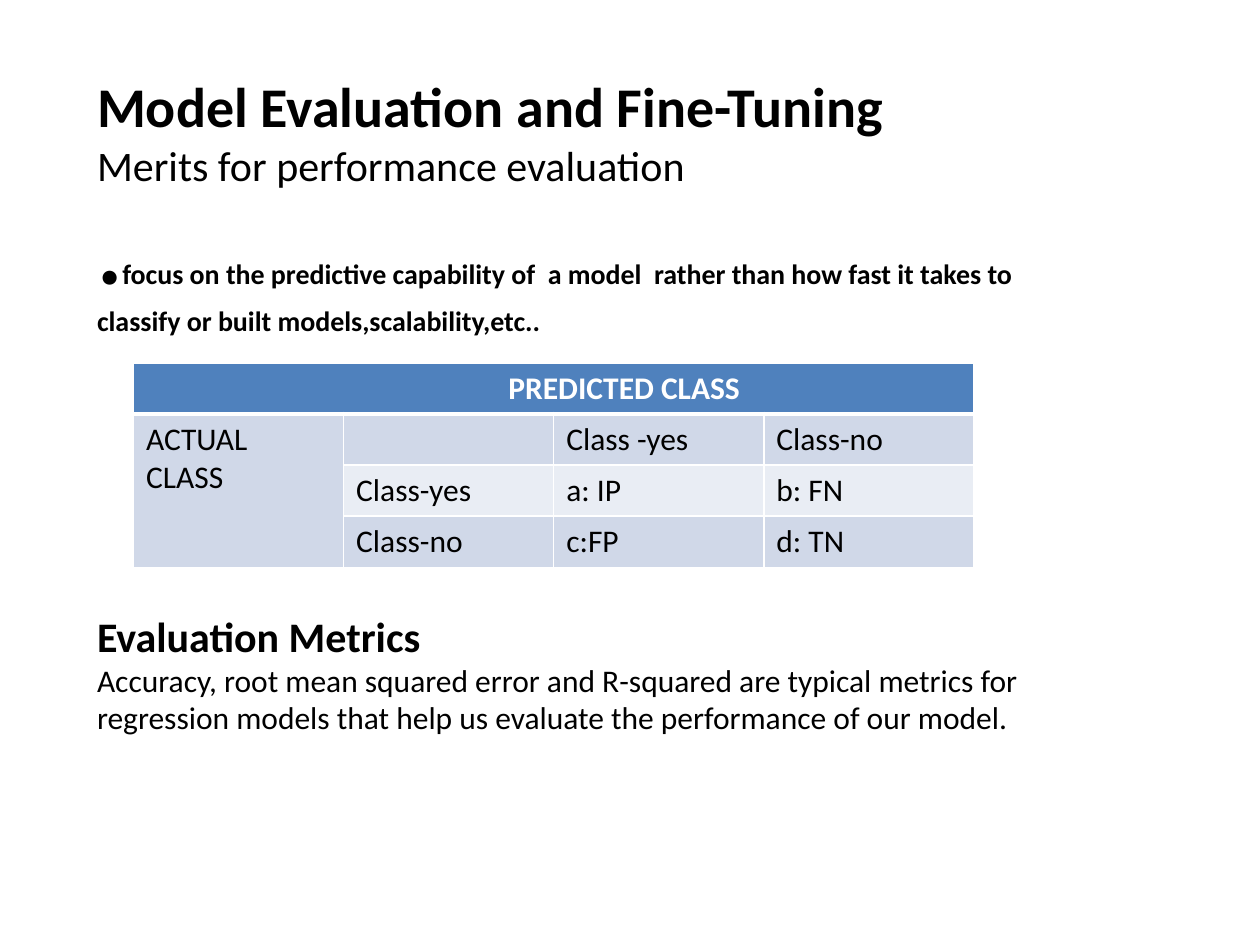
from lxml import etree
from pptx import Presentation
from pptx.dml.color import RGBColor
from pptx.enum.text import MSO_ANCHOR, MSO_AUTO_SIZE, PP_ALIGN
from pptx.oxml.ns import qn
from pptx.util import Inches, Pt

LEFT, CENTER = PP_ALIGN.LEFT, PP_ALIGN.CENTER
TOP = MSO_ANCHOR.TOP
NO_AUTOFIT = MSO_AUTO_SIZE.NONE
FONT = "Calibri"
COLORS = {"text": "000000", "white": "FFFFFF", "header": "4F81BD",
          "band_dark": "D0D8E8", "band_light": "E9EDF4"}

# Each paragraph: space before in points, then (text, size, bold) runs.
TITLE = [(0, [("Model Evaluation and Fine-Tuning", 32, True)])]
BODY = [
    (0, [("Merits for performance evaluation", 24, False)]),
    (0, [(".", 54, True),
         ("focus on the predictive capability of  a model  rather than how "
          "fast it takes to classify or built models,scalability,etc..", 16, True)]),
    (156, [("Evaluation Metrics", 24, True)]),
    (0, [("Accuracy, root mean squared error and R-squared are typical metrics "
          "for regression models that help us evaluate the performance of our "
          "model.", 18, False)]),
]
CONFUSION_MATRIX = [
    ["PREDICTED CLASS", "", "", ""],
    ["ACTUAL CLASS", "", "Class -yes", "Class-no"],
    ["", "Class-yes", "a: IP", "b: FN"],
    ["", "Class-no", "c:FP", "d: TN"],
]


def apply(target, values):
    """Set every attribute named in values on target."""
    for name, value in values.items():
        setattr(target, name, value)


def add_run(paragraph, text, size, bold, color="text"):
    """Add one formatted run to a paragraph."""
    run = paragraph.add_run()
    run.text = text
    apply(run.font, {"name": FONT, "size": Pt(size), "bold": bold})
    run.font.color.rgb = RGBColor.from_string(COLORS[color])


def fill_placeholder(placeholder, box, paragraphs):
    """Place a placeholder and write unbulleted, left-aligned paragraphs."""
    apply(placeholder, dict(zip(("left", "top", "width", "height"),
                                map(Inches, box))))
    frame = placeholder.text_frame
    apply(frame, {"word_wrap": True, "auto_size": NO_AUTOFIT,
                  "vertical_anchor": TOP})
    for index, (gap, runs) in enumerate(paragraphs):
        paragraph = frame.add_paragraph() if index else frame.paragraphs[0]
        apply(paragraph, {"alignment": LEFT, "space_before": Pt(gap),
                          "space_after": Pt(0), "line_spacing": 1.0})
        properties = paragraph._p.get_or_add_pPr()
        properties.set("marL", "0")
        properties.set("indent", "0")
        etree.SubElement(properties, qn("a:buNone"))
        for run in runs:
            add_run(paragraph, *run)


def set_borders(cell, widths):
    """Draw white cell borders; widths maps a side letter to points."""
    properties = cell._tc.get_or_add_tcPr()
    for side, width in widths.items():
        line = etree.SubElement(properties, qn(f"a:ln{side}"), w=str(Pt(width)))
        fill = etree.SubElement(line, qn("a:solidFill"))
        etree.SubElement(fill, qn("a:srgbClr"), val=COLORS["white"])


def format_cell(cell, text, row):
    """Give a cell its borders, band colour and text."""
    header = row == 0
    set_borders(cell, {"L": 1, "R": 1, "T": 3 if row == 1 else 1,
                       "B": 3 if header else 1})
    band = "header" if header else "band_dark" if row % 2 else "band_light"
    cell.fill.solid()
    cell.fill.fore_color.rgb = RGBColor.from_string(COLORS[band])
    paragraph = cell.text_frame.paragraphs[0]
    paragraph.alignment = CENTER if header else LEFT
    if text:
        add_run(paragraph, text, 18, header, "white" if header else "text")
    else:
        paragraph.font.size = Pt(18)


def add_confusion_matrix(slide):
    """Add the table of predicted against actual classes."""
    matrix = slide.shapes.add_table(
        4, 4, Inches(1.06), Inches(2.88), Inches(6.67), Inches(1.62)).table
    for row, texts in enumerate(CONFUSION_MATRIX):
        for column, text in enumerate(texts):
            format_cell(matrix.cell(row, column), text, row)
    heading = matrix.cell(0, 0)
    heading.merge(matrix.cell(0, 3))
    heading.margin_left = Inches(1.22)
    matrix.cell(1, 0).merge(matrix.cell(3, 0))


def main():
    """Build the slide and save it."""
    deck = Presentation()
    apply(deck, {"slide_width": Inches(10), "slide_height": Inches(7.5)})
    slide = deck.slides.add_slide(deck.slide_layouts[1])
    fill_placeholder(slide.shapes.title, (0.67, 0.52, 7.78, 0.64), TITLE)
    fill_placeholder(slide.placeholders[1], (0.67, 1.06, 7.78, 5.15), BODY)
    add_confusion_matrix(slide)
    deck.save("out.pptx")


main()
